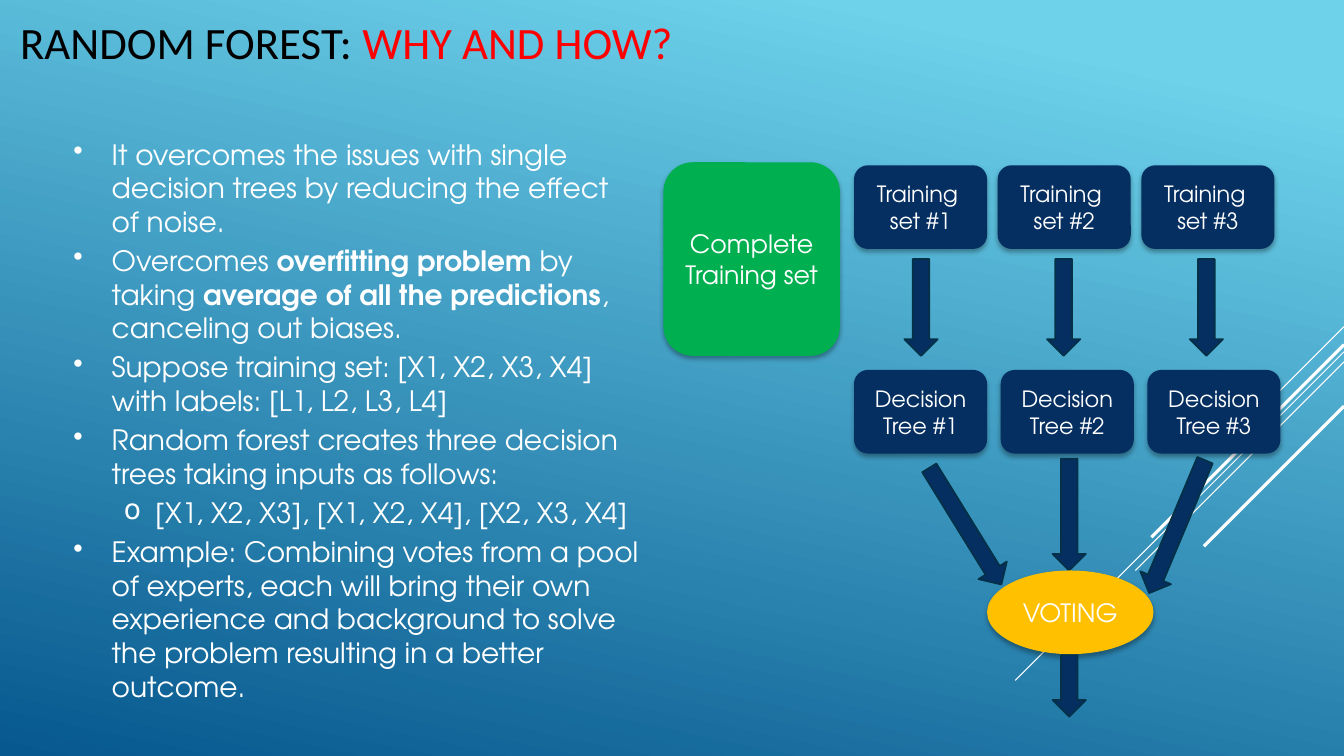
from lxml.etree import SubElement
from pptx import Presentation
from pptx.dml.color import RGBColor
from pptx.enum.shapes import MSO_CONNECTOR, MSO_SHAPE as Shape
from pptx.enum.text import MSO_ANCHOR as Anchor, MSO_AUTO_SIZE as AutoSize, PP_ALIGN as Align
from pptx.oxml.ns import qn
from pptx.util import Pt

PX = 9144  # one px is a hundredth of an inch
COLORS = {
    "sky": "6ED2EB", "deep": "06588E", "white": "FFFFFF", "black": "000000",
    "red": "FF0000", "green": "00B050", "navy": "052F61", "edge": "043148",
    "amber": "FFC000",
}
BODY_FONT = "TeX Gyre Adventor"
POINTS = [  # (level, [(text, bold), ...])
    (0, [("It overcomes the issues with single decision trees by reducing "
          "the effect of noise.", False)]),
    (0, [("Overcomes ", False), ("overfitting problem ", True), ("by taking ", False),
         ("average of all the predictions", True), (", canceling out biases.", False)]),
    (0, [("Suppose training set: [X1, X2, X3, X4] with labels: [L1, L2, L3, L4]", False)]),
    (0, [("Random forest creates three decision trees taking inputs as follows:", False)]),
    (1, [("[X1, X2, X3], [X1, X2, X4], [X2, X3, X4]", False)]),
    (0, [("Example: Combining votes from a pool of experts, each will bring their own "
          "experience and background to solve the problem resulting in a better outcome.",
          False)]),
]
BULLETS = [("•", 38, 38), ("o", 81, 31)]  # sign, left margin, hanging indent


def color(name):
    return RGBColor.from_string(COLORS[name])


def emu(*lengths):
    return [round(length * PX) for length in lengths]


def style_run(span, size, font, name, bold=False):
    span.font.size, span.font.name, span.font.bold = Pt(size), font, bold
    span.font.color.rgb = color(name)


def draw_background(slide):
    fill = slide.background.fill
    fill.gradient()
    fill.gradient_angle = 360 - 102
    for stop, position, name in zip(fill.gradient_stops, (0.1, 1), ("sky", "deep")):
        stop.position = position
        stop.color.rgb = color(name)


def draw_rays(slide, right):
    """Diagonal lines that fall at 45 degrees from the right edge."""
    for top, run, weight in ((324, 100, 0.75), (349, 326, 0.75), (359, 207, 0.75),
                             (342, 191, 2.25), (403, 139, 2.25)):
        ray = slide.shapes.add_connector(
            MSO_CONNECTOR.STRAIGHT, *emu(right, top, right - run, top + run))
        ray.line.color.rgb = color("white")
        ray.line.width = Pt(weight)
        SubElement(ray._element.spPr, qn("a:effectLst"))


def write_title(slide, box):
    title = slide.shapes.title
    title.left, title.top, title.width, title.height = emu(*box)
    frame = title.text_frame
    frame.auto_size, frame.word_wrap = AutoSize.NONE, True
    frame.vertical_anchor = Anchor.MIDDLE
    frame.margin_left, frame.margin_right = emu(7, 7)
    frame.margin_top, frame.margin_bottom = emu(4, 4)
    para = frame.paragraphs[0]
    para.alignment = Align.LEFT
    for text, name in (("RANDOM FOREST: ", "black"), ("WHY AND HOW?", "red")):
        span = para.add_run()
        span.text = text
        style_run(span, 32, "Calibri", name)


def write_points(slide, box):
    frame = slide.shapes.add_textbox(*emu(*box)).text_frame
    frame.word_wrap = True
    for index, (level, spans) in enumerate(POINTS):
        para = frame.add_paragraph() if index else frame.paragraphs[0]
        para.level = level
        para.space_before = Pt(4)
        sign, margin, hanging = BULLETS[level]
        properties = para._p.get_or_add_pPr()
        properties.set("marL", str(margin * PX))
        properties.set("indent", str(-hanging * PX))
        SubElement(properties, qn("a:buChar"), char=sign)
        for text, bold in spans:
            span = para.add_run()
            span.text = text
            style_run(span, 20, BODY_FONT, "white", bold)


def add_node(slide, kind, box, name, text, size):
    """A filled, labelled shape with a soft shadow below it."""
    node = slide.shapes.add_shape(kind, *emu(*box))
    node.fill.solid()
    node.fill.fore_color.rgb = color(name)
    node.line.fill.background()
    node.shadow.inherit = False
    effects = node._element.spPr.find(qn("a:effectLst"))
    shadow = SubElement(effects, qn("a:outerShdw"), blurRad=str(Pt(3.5)), dist=str(Pt(2.2)),
                        dir="5400000", algn="ctr", rotWithShape="0")
    tint = SubElement(shadow, qn("a:srgbClr"), val=COLORS["black"])
    SubElement(tint, qn("a:alpha"), val="32000")
    frame = node.text_frame
    frame.word_wrap = True
    frame.vertical_anchor = Anchor.MIDDLE
    frame.text = text
    for para in frame.paragraphs:
        para.alignment = Align.CENTER
        for span in para.runs:
            style_run(span, size, BODY_FONT, "white")


def add_arrow(slide, left, top, height, rotation=0):
    arrow = slide.shapes.add_shape(Shape.DOWN_ARROW, *emu(left, top, 33, height))
    arrow.rotation = rotation
    arrow.fill.solid()
    arrow.fill.fore_color.rgb = color("navy")
    arrow.line.color.rgb = color("edge")
    arrow.line.width = Pt(1.25)
    arrow.shadow.inherit = False


def draw_forest(slide, left, top):
    add_node(slide, Shape.ROUNDED_RECTANGLE, (left, top, 175, 192), "green",
             "Complete Training set", 18)

    # Three columns: training set, arrow, decision tree
    for index in range(3):
        for label, start, pitch, drop in (("Training \nset", 189, 142.5, 3),
                                          ("Decision Tree", 189, 145.5, 206)):
            add_node(slide, Shape.ROUNDED_RECTANGLE,
                     (left + start + index * pitch, top + drop, 132, 83),
                     "navy", f"{label} #{index + 1}", 16)
        add_arrow(slide, left + 239 + index * 141.5, top + 96, 96)

    # Trees feed the vote, which gives the result
    add_arrow(slide, left + 283, top + 293, 136, 328.3)
    add_arrow(slide, left + 493, top + 290, 143, 22.8)
    add_arrow(slide, left + 386, top + 294, 111)
    add_node(slide, Shape.OVAL, (left + 321, top + 405, 165, 83), "amber", "VOTING", 18)
    add_arrow(slide, left + 386, top + 489, 61)


def main():
    deck = Presentation()
    deck.slide_width, deck.slide_height = emu(1333, 750)
    slide = deck.slides.add_slide(deck.slide_layouts[5])
    draw_background(slide)
    draw_rays(slide, 1333)
    write_title(slide, (13, -13, 834, 109))
    write_points(slide, (63, 131, 581, 549))
    draw_forest(slide, 658, 161)
    deck.save("out.pptx")


if __name__ == "__main__":
    main()
